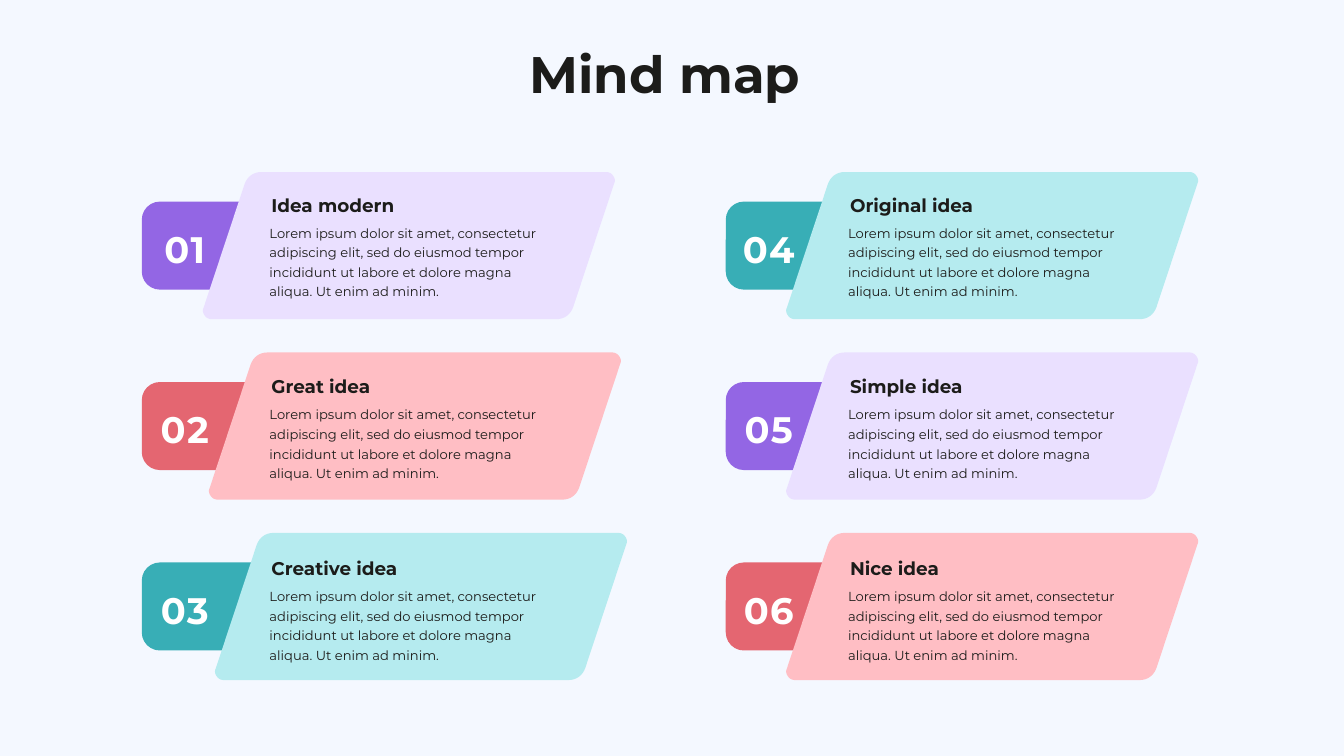
"""Builds the Mind map slide: six numbered ideas on slanted cards in two columns."""
import dataclasses

import pptx
import pptx.dml.color
import pptx.enum.shapes
import pptx.enum.text
import pptx.util

TITLE = "Mind map"
BODY = ("Lorem ipsum dolor sit amet, consectetur adipiscing elit, sed do eiusmod "
        "tempor incididunt ut labore et dolore magna aliqua. Ut enim ad minim.")
COLUMNS = [
    {"tab": 211, "card": 302, "card_step": 9, "text": 401,
     "ideas": [("01", "Idea modern", "purple"), ("02", "Great idea", "red"),
               ("03", "Creative idea", "teal")]},
    {"tab": 1080, "card": 1170, "card_step": 0, "text": 1262,
     "ideas": [("04", "Original idea", "teal"), ("05", "Simple idea", "purple"),
               ("06", "Nice idea", "red")]},
]


@dataclasses.dataclass(frozen=True)
class Style:
    size: float
    leading: float
    color: str
    bold: bool = True
    centered: bool = False
    tracking: int = 0


class Theme:
    font = "Montserrat"
    background = "F4F8FF"
    pairs = {"purple": ("9366E4", "EAE0FF"), "red": ("E46671", "FFBEC4"),
             "teal": ("38AEB6", "B5EBEF")}
    title = Style(55, 58.3, "1C1C1A", centered=True)
    number = Style(39.5, 55.3, "FFFFFF", centered=True, tracking=160)
    heading = Style(19.7, 24.5, "1C1C1A")
    body = Style(14, 21, "1C1C1A", bold=False)


PX = 9144
SLIDE = (2000, 1125)
CARD_TOP, CARD_PITCH = 256, 268.5
TEXT_TOP, TEXT_PITCH = 287, 270.5
CARD_SIZE = (613, 219)
TAB_SIZE = (565, 131)
TAB_RADIUS = 27
CURVE_STEPS = 8
HALF_CARD = [
    [(600, 0), (604, 0), (608, 2), (610, 5)],
    [(610, 5), (613, 9), (614, 13), (612, 17)],
    [(551, 201), (547, 212), (538, 219), (526, 219)],
]


def emu(*lengths):
    return [pptx.util.Emu(round(length * PX)) for length in lengths]


def color(code):
    return pptx.dml.color.RGBColor.from_string(code)


def paint(shape, code):
    shape.shadow.inherit = False
    shape.fill.solid()
    shape.fill.fore_color.rgb = color(code)
    shape.line.fill.background()


def curve_points(curve):
    for step in range(CURVE_STEPS + 1):
        t = step / CURVE_STEPS
        weights = ((1 - t) ** 3, 3 * t * (1 - t) ** 2, 3 * t * t * (1 - t), t ** 3)
        yield tuple(sum(weight * point[axis] for weight, point in zip(weights, curve))
                    for axis in (0, 1))


def card_outline():
    width, height = CARD_SIZE
    half = [point for curve in HALF_CARD for point in curve_points(curve)]
    return half + [(width - x, height - y) for x, y in half]


def add_card(page, left, top, code):
    points = [emu(left + x, top + y) for x, y in card_outline()]
    builder = page.shapes.build_freeform(*points[0])
    builder.add_line_segments(points[1:], close=True)
    paint(builder.convert_to_shape(), code)


def add_tab(page, left, top, code):
    kind = pptx.enum.shapes.MSO_SHAPE.ROUNDED_RECTANGLE
    tab = page.shapes.add_shape(kind, *emu(left, top, *TAB_SIZE))
    tab.adjustments[0] = TAB_RADIUS / TAB_SIZE[1]
    paint(tab, code)


def add_text(page, text, style, *place):
    box = page.shapes.add_textbox(*emu(*place))
    frame = box.text_frame
    frame.margin_left = frame.margin_right = frame.margin_top = frame.margin_bottom = 0
    frame.word_wrap = True
    frame.auto_size = pptx.enum.text.MSO_AUTO_SIZE.SHAPE_TO_FIT_TEXT
    para = frame.paragraphs[0]
    para.line_spacing = pptx.util.Pt(style.leading)
    if style.centered:
        para.alignment = pptx.enum.text.PP_ALIGN.CENTER
    span = para.add_run()
    span.text = text
    span.font.name = Theme.font
    span.font.size = pptx.util.Pt(style.size)
    span.font.bold = style.bold
    span.font.color.rgb = color(style.color)
    if style.tracking:
        span.font._element.set("spc", str(style.tracking))


def add_idea(page, column, row, number, heading, tone):
    dark, light = Theme.pairs[tone]
    card_top = CARD_TOP + row * CARD_PITCH
    text_top = TEXT_TOP + row * TEXT_PITCH
    add_tab(page, column["tab"], card_top + 44, dark)
    add_card(page, column["card"] + row * column["card_step"], card_top, light)
    add_text(page, number, Theme.number, column["tab"] + 12, card_top + 70, 104, 73)
    add_text(page, heading, Theme.heading, column["text"] + 3, text_top, 313, 33)
    add_text(page, BODY, Theme.body, column["text"], text_top + 42, 417, 111)


def main():
    deck = pptx.Presentation()
    deck.slide_width, deck.slide_height = emu(*SLIDE)
    page = deck.slides.add_slide(deck.slide_layouts[6])
    page.background.fill.solid()
    page.background.fill.fore_color.rgb = color(Theme.background)
    for column in COLUMNS:
        for row, idea in enumerate(column["ideas"]):
            add_idea(page, column, row, *idea)
    add_text(page, TITLE, Theme.title, 604, 74, 771, 84)
    deck.save("out.pptx")


if __name__ == "__main__":
    main()
